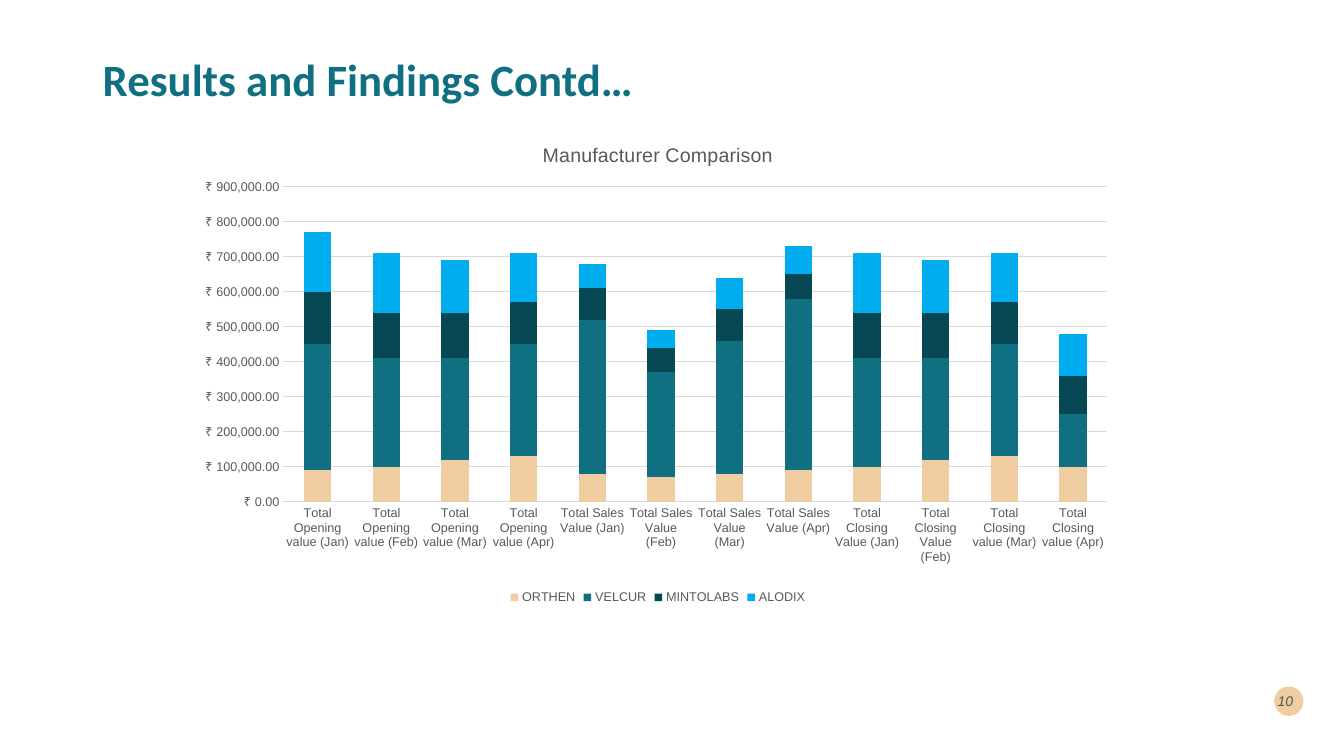
from dataclasses import dataclass

from lxml.etree import SubElement
from pptx import Presentation
from pptx.chart.data import CategoryChartData
from pptx.dml.color import RGBColor
from pptx.enum.chart import XL_CHART_TYPE, XL_LEGEND_POSITION, XL_TICK_MARK
from pptx.enum.shapes import MSO_SHAPE
from pptx.enum.text import MSO_ANCHOR, PP_ALIGN
from pptx.oxml import parse_xml
from pptx.oxml.ns import nsdecls, qn
from pptx.util import Cm, Pt


@dataclass(frozen=True)
class Theme:
    sand: RGBColor = RGBColor(0xF0, 0xCD, 0xA1)
    teal: RGBColor = RGBColor(0x10, 0x70, 0x82)
    dark_teal: RGBColor = RGBColor(0x05, 0x48, 0x54)
    sky: RGBColor = RGBColor(0x00, 0xAE, 0xEF)
    ink: RGBColor = RGBColor(0x00, 0x29, 0x2E)
    grey: RGBColor = RGBColor(0x59, 0x59, 0x59)
    rule: RGBColor = RGBColor(0xD9, 0xD9, 0xD9)
    heading_font: str = "Calibri"
    body_font: str = "Arial"
    heading_size: Pt = Pt(32)
    chart_title_size: Pt = Pt(14)
    page_size: Pt = Pt(10)
    label_size: Pt = Pt(9)


theme = Theme()


def style_font(font, name, size, color):
    font.name, font.size, font.color.rgb = name, size, color


def add_line(slide, text, left, top, width, height):
    """Add a one-line, vertically centred text box and return its paragraph and run."""
    frame = slide.shapes.add_textbox(Cm(left), Cm(top), Cm(width), Cm(height)).text_frame
    frame.word_wrap = True
    frame.vertical_anchor = MSO_ANCHOR.MIDDLE
    paragraph = frame.paragraphs[0]
    run = paragraph.add_run()
    run.text = text
    return paragraph, run


prs = Presentation()
prs.slide_width, prs.slide_height = Cm(33.87), Cm(19.05)
slide = prs.slides.add_slide(prs.slide_layouts[6])

# Page badge
badge = slide.shapes.add_shape(MSO_SHAPE.OVAL, Cm(32.11), Cm(17.3), Cm(0.74), Cm(0.74))
badge.shadow.inherit = False
badge.fill.solid()
badge.fill.fore_color.rgb = theme.sand
badge.line.fill.background()

# Heading
heading, heading_run = add_line(slide, "Results and Findings Contd…", 2.34, 1.02, 29.21, 2.11)
heading.line_spacing = 0.9
style_font(heading_run.font, theme.heading_font, theme.heading_size, theme.teal)
heading_run.font.bold = True

# Page number, 70 % opaque
page, page_run = add_line(slide, "10", 31.85, 17.15, 0.99, 1.02)
page.alignment = PP_ALIGN.RIGHT
style_font(page_run.font, theme.body_font, theme.page_size, theme.ink)
page_run.font.italic = True
page_color = page_run.font.fill._xPr.find(".//" + qn("a:srgbClr"))
SubElement(page_color, qn("a:alpha")).set("val", "70000")

# Chart data, in thousands of rupees
months = ["Jan", "Feb", "Mar", "Apr"]
measures = ["Total Opening value"] * 4 + ["Total Sales Value"] * 4
measures += ["Total Closing Value"] * 2 + ["Total Closing value"] * 2
manufacturers = [
    ("ORTHEN", theme.sand, [90, 100, 120, 130, 80, 70, 80, 90, 100, 120, 130, 100]),
    ("VELCUR", theme.teal, [360, 310, 290, 320, 440, 300, 380, 490, 310, 290, 320, 150]),
    ("MINTOLABS", theme.dark_teal, [150, 130, 130, 120, 90, 70, 90, 70, 130, 130, 120, 110]),
    ("ALODIX", theme.sky, [170, 170, 150, 140, 70, 50, 90, 80, 170, 150, 140, 120]),
]
rupees = '"₹"\\ #,##0.00'
comparison = CategoryChartData(number_format=rupees)
comparison.categories = [f"{measure} ({months[i % 4]})" for i, measure in enumerate(measures)]
for name, _, thousands in manufacturers:
    comparison.add_series(name, [value * 1000 for value in thousands])

# Stacked columns
chart = slide.shapes.add_chart(
    XL_CHART_TYPE.COLUMN_STACKED, Cm(4.78), Cm(3.12), Cm(23.6), Cm(12.22), comparison
).chart
style_font(chart.font, theme.body_font, theme.label_size, theme.grey)
columns = chart.plots[0]
columns.vary_by_categories = False
columns.gap_width, columns.overlap = 150, 100
for series, (_, color, _) in zip(columns.series, manufacturers):
    series.format.fill.solid()
    series.format.fill.fore_color.rgb = color

# Chart title
chart.has_title = True
chart_title = chart.chart_title
chart_title.include_in_layout = False
title_run = chart_title.text_frame.paragraphs[0].add_run()
title_run.text = "Manufacturer Comparison"
style_font(title_run.font, theme.body_font, theme.chart_title_size, theme.grey)
title_run.font.bold = False

# Axes
measure_axis, value_axis = chart.category_axis, chart.value_axis
for axis in (measure_axis, value_axis):
    axis.major_tick_mark = axis.minor_tick_mark = XL_TICK_MARK.NONE
    style_font(axis.tick_labels.font, theme.body_font, theme.label_size, theme.grey)
value_axis.minimum_scale, value_axis.maximum_scale = 0, 900000
value_axis.major_unit = 100000
value_axis.tick_labels.number_format = rupees
value_axis.tick_labels.number_format_is_linked = False
value_axis.format.line.fill.background()
for line in (measure_axis.format.line, value_axis.major_gridlines.format.line):
    line.color.rgb = theme.rule
    line.width = Pt(0.75)

# Legend
chart.has_legend = True
chart.legend.position = XL_LEGEND_POSITION.BOTTOM
chart.legend.include_in_layout = False
style_font(chart.legend.font, theme.body_font, theme.label_size, theme.grey)

# Plot area as fractions of the chart
plot_area = chart._chartSpace.chart.plotArea
for old_layout in plot_area.findall(qn("c:layout")):
    plot_area.remove(old_layout)
fractions = {"x": 0.1, "y": 0.13, "w": 0.88, "h": 0.65}
settings = '<c:layoutTarget val="inner"/><c:xMode val="edge"/><c:yMode val="edge"/>'
settings += "".join(f'<c:{side} val="{part}"/>' for side, part in fractions.items())
plot_area.insert(0, parse_xml(
    f'<c:layout {nsdecls("c")}><c:manualLayout>{settings}</c:manualLayout></c:layout>'
))

prs.save("out.pptx")
